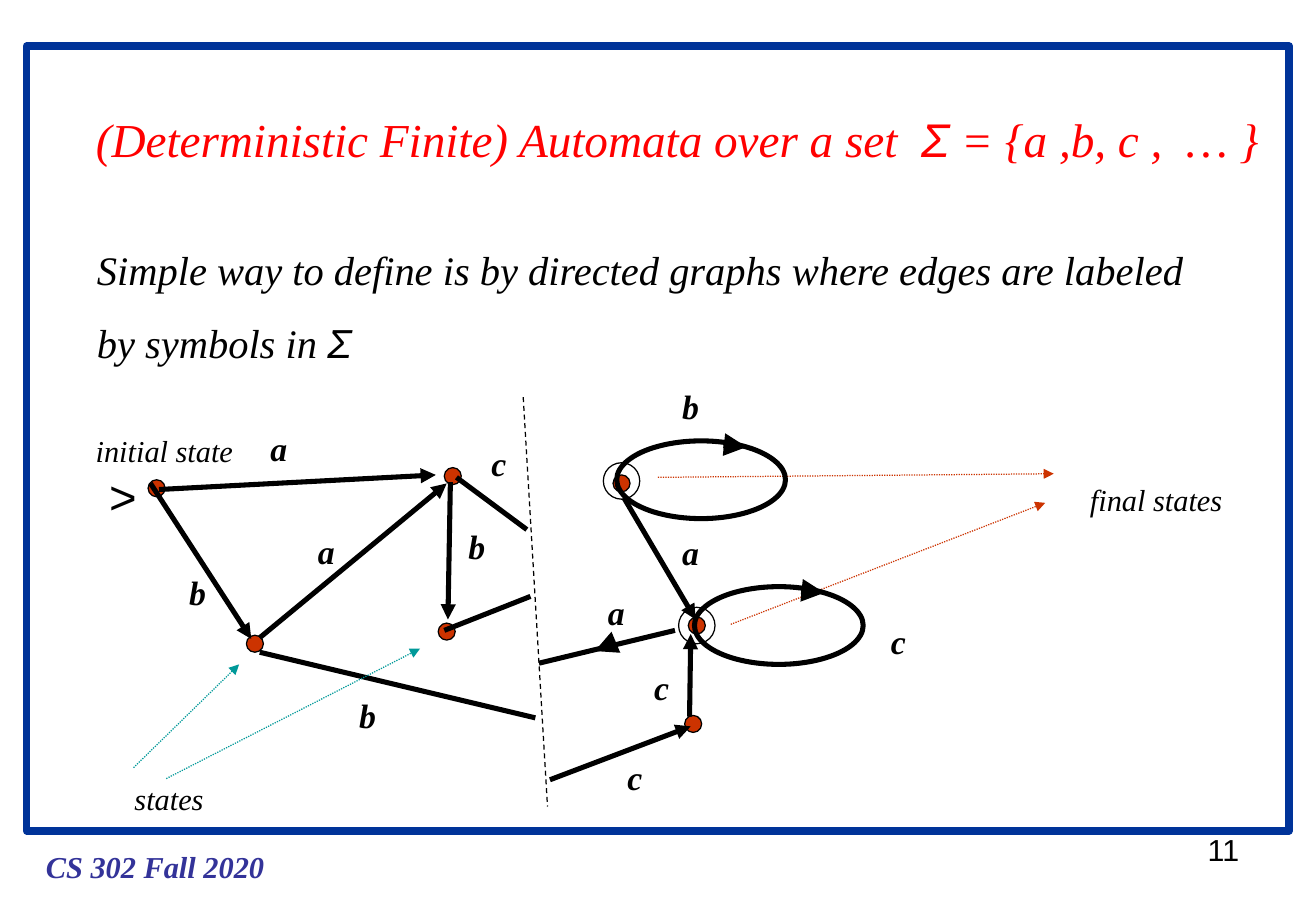
import dataclasses

import pptx
import pptx.dml.color
import pptx.enum.dml
import pptx.enum.shapes
import pptx.enum.text
import pptx.oxml
import pptx.oxml.ns
import pptx.util

Inches, Pt = pptx.util.Inches, pptx.util.Pt
DASH = pptx.enum.dml.MSO_LINE
SHAPE = pptx.enum.shapes.MSO_SHAPE


@dataclasses.dataclass(frozen=True)
class Theme:
    """Colours, fonts, type sizes and line weights."""
    serif: str = "Times New Roman"
    sans: str = "Arial"
    black: str = "000000"
    frame: str = "003399"
    footer: str = "333399"
    title: str = "FF0000"
    state: str = "CC3300"
    pointer: str = "009999"
    title_size: int = 28
    body_size: int = 24
    label_size: int = 20
    note_size: int = 18
    thin: float = 0.75
    edge: float = 3
    heavy: float = 4.5


@dataclasses.dataclass(frozen=True)
class Box:
    """A region in inches."""
    x: float
    y: float
    w: float
    h: float

    def at(self, x, y, w, h):
        """Return a box placed relative to this one."""
        return Box(self.x + x, self.y + y, w, h)

    def emu(self):
        """Return left, top, width and height as lengths."""
        return [Inches(v) for v in (self.x, self.y, self.w, self.h)]


T = Theme()


def rgb(color):
    """Return a colour object for a hex string."""
    return pptx.dml.color.RGBColor.from_string(color)


def set_text(sp, parts, size, color=T.black, bold=False, italic=True, wrap=False, spacing=None):
    """Write one left-aligned paragraph of (text, font name) parts."""
    tf = sp.text_frame
    tf.word_wrap = wrap
    tf.auto_size = pptx.enum.text.MSO_AUTO_SIZE.NONE
    tf.vertical_anchor = pptx.enum.text.MSO_ANCHOR.TOP
    p = tf.paragraphs[0]
    p.alignment = pptx.enum.text.PP_ALIGN.LEFT
    if spacing:
        p.line_spacing = spacing
    p.font.size, p.font.bold, p.font.italic = Pt(size), bold, italic
    p.font.color.rgb = rgb(color)
    names = {name for _, name in parts}
    if len(names) == 1:
        p.font.name = names.pop()
    for text, name in parts:
        r = p.add_run()
        r.text = text
        if len(parts) > 1:
            r.font.name = name


def add_text(shapes, box, text, size, font=T.serif, **style):
    """Add a text box in a single font."""
    set_text(shapes.add_textbox(*box.emu()), [(text, font)], size, **style)


def add_outline(shapes, kind, box, width, color=T.black, fill=None):
    """Add an outlined preset shape, filled only on request."""
    sp = shapes.add_shape(kind, *box.emu())
    sp.shadow.inherit = False
    sp.line.color.rgb, sp.line.width = rgb(color), Pt(width)
    if fill:
        sp.fill.solid()
        sp.fill.fore_color.rgb = rgb(fill)
    else:
        sp.fill.background()


def add_line(shapes, box, ends, width, color=T.black, dash=None, arrow=True):
    """Add a straight line between two points relative to the box."""
    x1, y1, x2, y2 = ends
    cxn = shapes.add_connector(
        pptx.enum.shapes.MSO_CONNECTOR.STRAIGHT,
        Inches(box.x + x1), Inches(box.y + y1), Inches(box.x + x2), Inches(box.y + y2))
    cxn.line.color.rgb, cxn.line.width = rgb(color), Pt(width)
    if dash:
        cxn.line.dash_style = dash
    if arrow:
        ln = cxn.line._get_or_add_ln()
        tail = pptx.oxml.parse_xml(f'<a:tailEnd {pptx.oxml.ns.nsdecls("a")} type="triangle"/>')
        ln.append(tail)
    cxn._element.spPr.append(pptx.oxml.parse_xml(f'<a:effectLst {pptx.oxml.ns.nsdecls("a")}/>'))


def add_frame(slide, box):
    """Draw the border with the course name and page number below it."""
    add_outline(slide.shapes, SHAPE.RECTANGLE, box, T.heavy, T.frame)
    add_text(slide.shapes, box.at(0.06, box.h + 0.09, 2, 0.4), "CS 302 Fall 2020",
             T.note_size, color=T.footer, bold=True)
    add_text(slide.shapes, box.at(9.63, box.h - 0.05, 0.48, 0.4), "11",
             T.note_size, T.sans, italic=False)


def add_heading(slide, box):
    """Place the title and the introductory sentence."""
    title = slide.shapes.title
    title.left, title.top, title.width, title.height = box.at(0, 0, box.w, 0.57).emu()
    set_text(title, [("(Deterministic Finite) Automata over a set  ", T.serif), ("Σ", T.sans),
                     (" = {a ,b, c ,  … }", T.serif)], T.title_size, T.title)
    intro = slide.shapes.add_textbox(*box.at(0.01, 0.91, 9.2, 1.3).emu())
    set_text(intro, [("Simple way to define is by directed graphs where edges are labeled "
                      "by symbols in ", T.serif), ("Σ", T.sans)],
             T.body_size, wrap=True, spacing=1.5)


def add_callout(slide, box, text, color, arrows):
    """Add a note with dotted arrows relative to its box."""
    for ends in arrows:
        add_line(slide.shapes, box, ends, T.thin, color, DASH.ROUND_DOT)
    add_text(slide.shapes, box, text, T.note_size)


def add_automaton(slide, box):
    """Draw the states, labelled edges and loops of the automaton as a group."""
    shapes = slide.shapes.add_group_shape().shapes
    states = [(0.59, 0.92), (3.03, 0.82), (1.4, 2.2), (2.98, 2.1),
              (4.42, 0.88), (5.04, 2.05), (5.01, 2.86)]
    final_rings = [(4.42, 0.86), (5.04, 2.05)]
    loops = [(4.38, 0.53), (5.02, 1.73)]
    arrows = [(0.61, 0.93, 2.89, 0.81), (1.44, 2.15, 2.98, 0.88), (0.54, 0.88, 1.37, 2.16),
              (3.83, 3.32, 4.99, 2.88), (3.01, 0.87, 2.99, 2), (4.44, 1, 5.03, 2),
              (4.98, 2.8, 4.99, 2.12)]
    open_edges = [(2.96, 2.09, 3.67, 1.81), (3.06, 0.83, 3.64, 1.26),
                  (1.44, 2.27, 3.71, 2.81), (4.86, 2.09, 3.74, 2.36)]
    labels = {"a": [(1.43, 0.37), (1.82, 1.22), (4.21, 1.72), (4.82, 1.23)],
              "b": [(0.76, 1.56), (2.16, 2.57), (3.06, 1.18), (4.82, 0.03)],
              "c": [(3.25, 0.5), (4.37, 3.08), (6.54, 1.96), (4.59, 2.34)]}
    for centres, d, fill in ((states, 0.14, T.state), (final_rings, 0.3, None)):
        for x, y in centres:
            add_outline(shapes, SHAPE.OVAL, box.at(x - d / 2, y - d / 2, d, d), T.thin, fill=fill)
    add_line(shapes, box, (3.61, 0.17, 3.81, 3.54), T.thin, dash=DASH.DASH, arrow=False)
    for edges, arrow in ((arrows, True), (open_edges, False)):
        for ends in edges:
            add_line(shapes, box, ends, T.edge, arrow=arrow)
    for x, y in loops:
        loop = box.at(x, y, 1.39, 0.64)
        add_outline(shapes, SHAPE.OVAL, loop, T.edge)
        add_line(shapes, loop, (0.88, 0.03, 1.07, 0.05), T.heavy)
    add_line(shapes, box, (4.32, 2.21, 4.2, 2.26), T.heavy)
    for symbol, places in labels.items():
        for x, y in places:
            add_text(shapes, box.at(x, y, 0.34, 0.44), symbol, T.label_size, bold=True)
    add_text(shapes, box.at(0.1, 0.7, 0.42, 0.57), ">", T.title_size, T.sans, italic=False)


def main():
    """Build and save the slide."""
    prs = pptx.Presentation()
    prs.slide_width, prs.slide_height = Inches(10.84), Inches(7.5)
    slide = prs.slides.add_slide(prs.slide_layouts[5])
    add_frame(slide, Box(0.22, 0.38, 10.4, 6.46))
    add_heading(slide, Box(0.69, 0.86, 9.88, 2.21))
    add_callout(slide, Box(0.69, 3.51, 1.33, 0.4), "initial state", T.black, [])
    add_callout(slide, Box(8.88, 3.91, 1.29, 0.4), "final states", T.state,
                [(-3.46, 0.02, -0.2, -0.01), (-2.86, 1.23, -0.27, 0.23)])
    add_automaton(slide, Box(0.7, 3.1, 6.9, 3.6))
    add_callout(slide, Box(1.01, 6.37, 0.77, 0.4), "states", T.pointer,
                [(0.09, -0.05, 0.96, -0.9), (0.36, 0.04, 2.45, -1.03)])
    prs.save("out.pptx")


if __name__ == "__main__":
    main()
